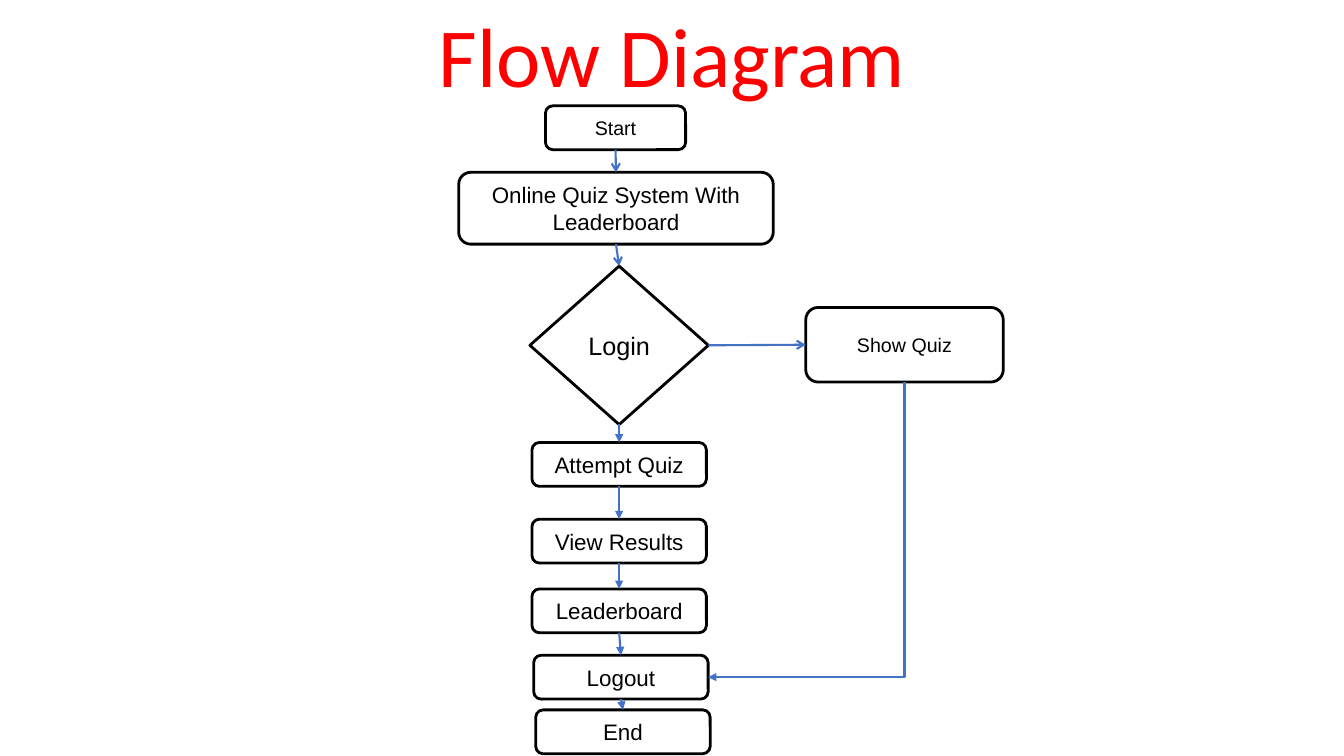
import pptx
import pptx.dml.color
import pptx.enum.shapes
import pptx.enum.text
import pptx.oxml.ns
import pptx.oxml.xmlchemy
import pptx.util

SHAPE = pptx.enum.shapes.MSO_SHAPE
CONNECTOR = pptx.enum.shapes.MSO_CONNECTOR
ANCHOR = pptx.enum.text.MSO_ANCHOR
TOP, LEFT, BOTTOM, RIGHT = range(4)


def color(code):
    return pptx.dml.color.RGBColor.from_string(code)


class FlowSlide:
    ink, paper, arrow_color, title_color = "000000", "FFFFFF", "4472C4", "FF0000"
    body_font, title_font = "Arial", "Calibri"

    def __init__(self, deck):
        self.deck = deck
        self.page = deck.slides.add_slide(deck.slide_layouts[6])

    def frame(self, center, top, width, height):
        across, down = self.deck.slide_width / 100, self.deck.slide_height / 100
        return [round(length) for length in (
            (center - width / 2) * across, top * down, width * across, height * down)]

    def label(self, box, text, size, font, code, anchor):
        box.text_frame.text = text
        box.text_frame.word_wrap = True
        box.text_frame.vertical_anchor = anchor
        para = box.text_frame.paragraphs[0]
        para.alignment = pptx.enum.text.PP_ALIGN.CENTER
        span = para.runs[0]
        span.font.size = pptx.util.Pt(size)
        span.font.name = font
        span.font.color.rgb = color(code)
        return para

    def title(self, text, *place):
        box = self.page.shapes.add_textbox(*self.frame(*place))
        para = self.label(box, text, 60, self.title_font, self.title_color, ANCHOR.BOTTOM)
        para.line_spacing = 0.9

    def step(self, text, center, top, width=12.98, height=5.8, size=16,
             kind=SHAPE.ROUNDED_RECTANGLE):
        box = self.page.shapes.add_shape(kind, *self.frame(center, top, width, height))
        box.shadow.inherit = False
        box.fill.solid()
        box.fill.fore_color.rgb = color(self.paper)
        box.line.color.rgb = color(self.ink)
        box.line.width = pptx.util.Pt(2)
        self.label(box, text, size, self.body_font, self.ink, ANCHOR.MIDDLE)
        return box

    def arrow(self, start, end, head="triangle", leave=BOTTOM, enter=TOP):
        link = self.page.shapes.add_connector(CONNECTOR.STRAIGHT, 0, 0, 0, 0)
        link.begin_connect(start, leave)
        link.end_connect(end, enter)
        link.line.color.rgb = color(self.arrow_color)
        link.line.width = pptx.util.Pt(1.5)
        properties = link._element.spPr
        tip = pptx.oxml.xmlchemy.OxmlElement("a:tailEnd")
        tip.set("type", head)
        properties.find(pptx.oxml.ns.qn("a:ln")).append(tip)
        properties.append(pptx.oxml.xmlchemy.OxmlElement("a:effectLst"))
        return link

    def down_left_arrow(self, start, end):
        link = self.arrow(start, end, enter=RIGHT)
        middle_x = (link.begin_x + link.end_x) // 2
        middle_y = (link.begin_y + link.end_y) // 2
        width, height = link.height, link.width
        link.left, link.top = middle_x - width // 2, middle_y - height // 2
        link.width, link.height = width, height
        properties = link._element.spPr
        transform = properties.find(pptx.oxml.ns.qn("a:xfrm"))
        transform.attrib.pop("flipH", None)
        transform.set("rot", "5400000")
        properties.find(pptx.oxml.ns.qn("a:prstGeom")).set("prst", "bentConnector2")


def main():
    deck = pptx.Presentation()
    deck.slide_width = pptx.util.Inches(13.33)
    deck.slide_height = pptx.util.Inches(7.5)
    flow = FlowSlide(deck)

    flow.title("Flow Diagram", 50, -1.33, 75, 16)
    start = flow.step("Start", 45.8, 14, width=10.43, size=14)
    system = flow.step("Online Quiz System With Leaderboard", 45.83, 22.8, 23.4, 9.5)
    login = flow.step("Login", 46.07, 35.2, 13.28, 20.95, 18, SHAPE.DIAMOND)
    show = flow.step("Show Quiz", 67.3, 40.67, 14.7, 9.87, 14)
    attempt = flow.step("Attempt Quiz", 46.07, 58.53)
    results = flow.step("View Results", 46.07, 68.67)
    leaderboard = flow.step("Leaderboard", 46.07, 77.9)
    logout = flow.step("Logout", 46.2, 86.67)
    end = flow.step("End", 46.35, 93.9)

    flow.arrow(start, system, "arrow")
    flow.arrow(system, login, "arrow")
    flow.arrow(login, show, "arrow", RIGHT, LEFT)
    chain = [login, attempt, results, leaderboard, logout, end]
    for upper, lower in zip(chain, chain[1:]):
        flow.arrow(upper, lower)
    flow.down_left_arrow(show, logout)

    deck.save("out.pptx")


if __name__ == "__main__":
    main()
